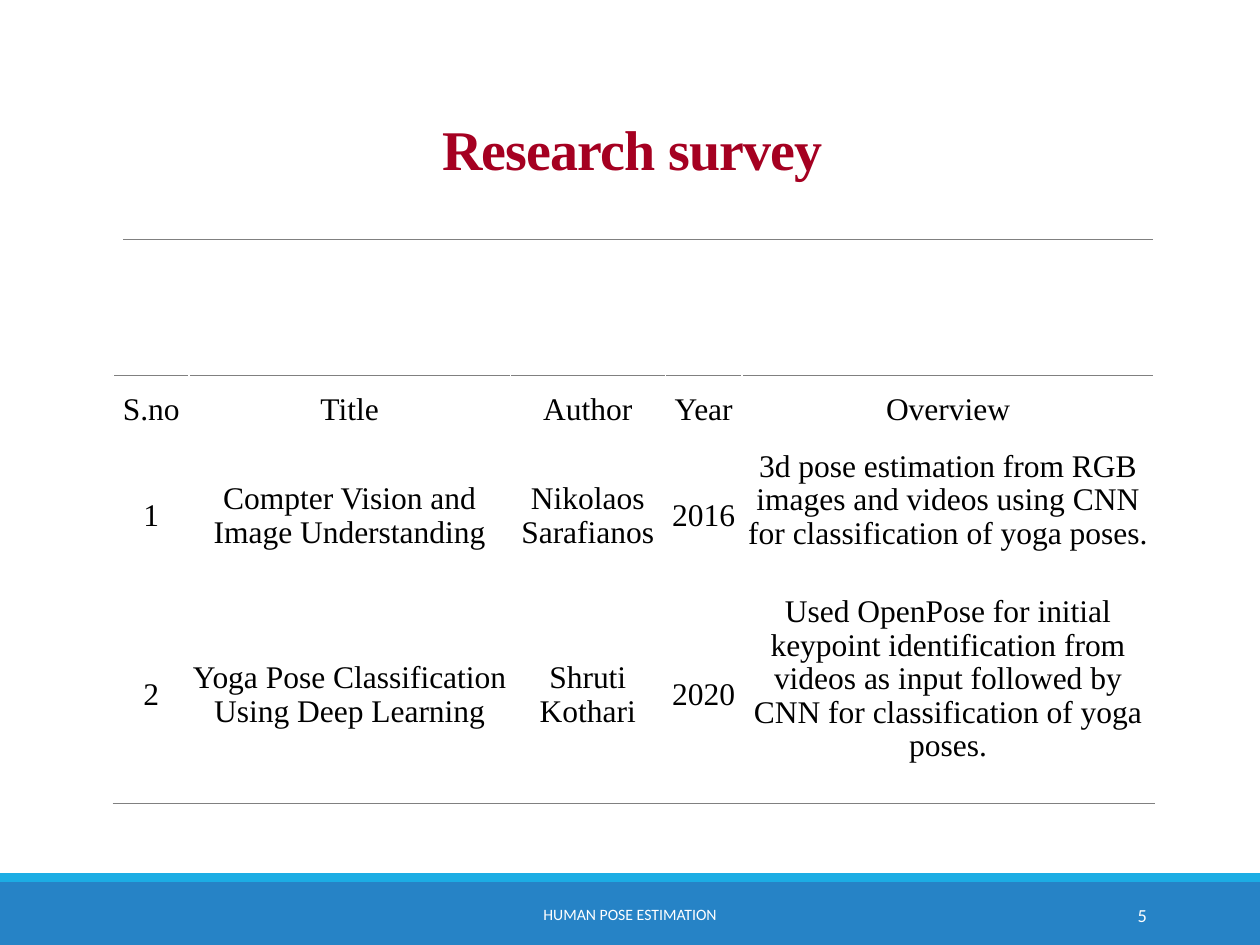
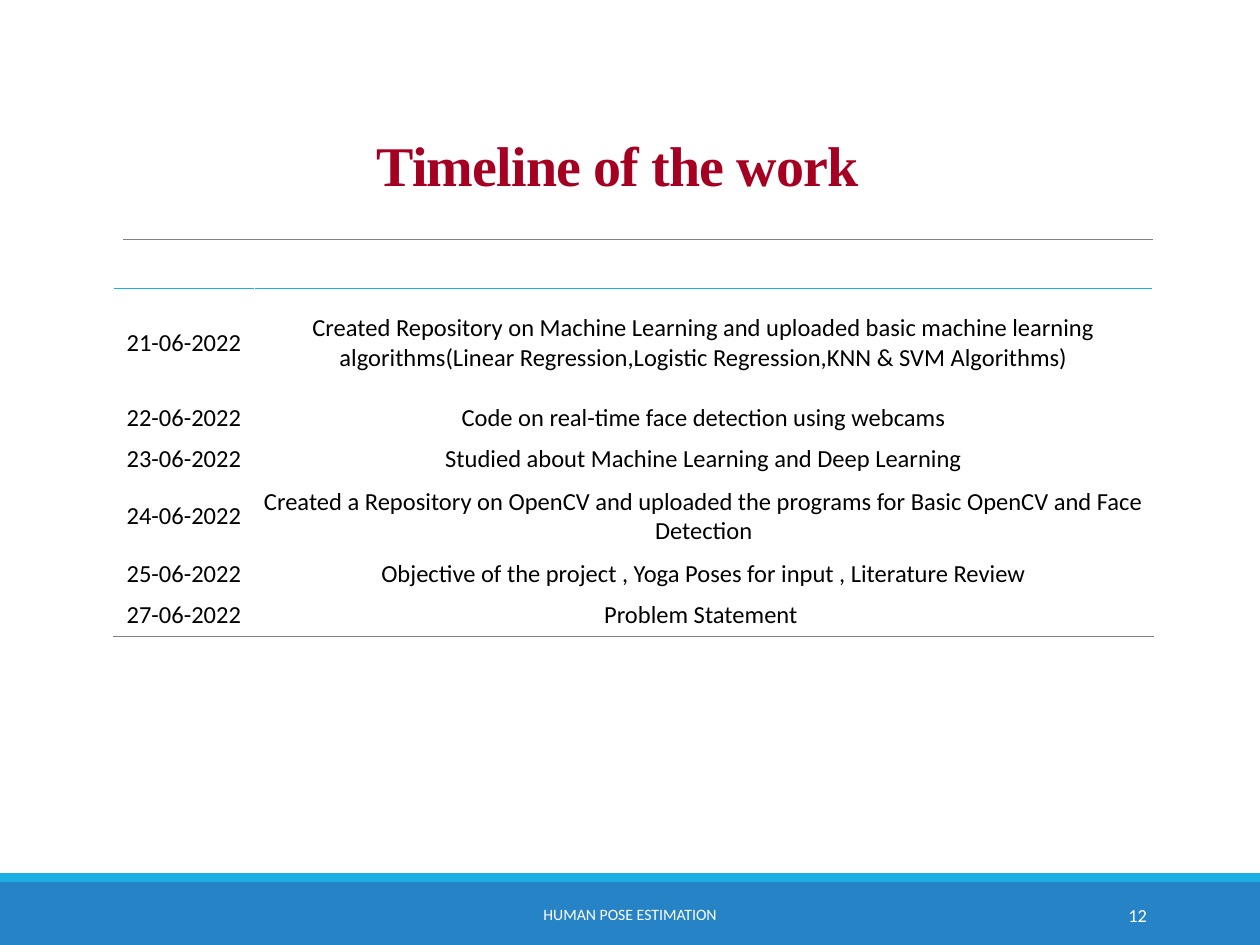
from dataclasses import dataclass

import pptx
import pptx.dml.color
import pptx.enum.shapes
import pptx.enum.text
import pptx.oxml
import pptx.oxml.ns
import pptx.util
from pptx.util import Inches

ALIGN = pptx.enum.text.PP_ALIGN
MIDDLE = pptx.enum.text.MSO_ANCHOR.MIDDLE


@dataclass(frozen=True)
class Theme:
    band: str = "2683C6"
    accent: str = "1CADE4"
    rule: str = "808080"
    title: str = "A50021"
    body: str = "000000"
    white: str = "FFFFFF"
    serif: str = "Times New Roman"
    sans: str = "Calibri"
    title_size: float = 32
    survey_size: float = 18
    timeline_size: float = 14
    number_size: float = 10.5
    footer_size: float = 9
    rule_width: float = 0.5
    accent_width: float = 1


THEME = Theme()
THIN_RULE = (THEME.rule, THEME.rule_width)
ACCENT_RULE = (THEME.accent, THEME.accent_width)


def rgb(color):
    return pptx.dml.color.RGBColor.from_string(color)


def add_run(paragraph, text, font, size, color, align):
    paragraph.alignment = align
    run = paragraph.add_run()
    run.text = text
    run.font.name = font
    run.font.size = pptx.util.Pt(size)
    run.font.color.rgb = rgb(color)
    return run


def add_band(slide, box, color):
    band = slide.shapes.add_shape(
        pptx.enum.shapes.MSO_SHAPE.RECTANGLE, *map(Inches, box))
    band.shadow.inherit = False
    band.fill.solid()
    band.fill.fore_color.rgb = rgb(color)
    band.line.fill.background()


def add_footer_text(slide, box, text, size, align):
    frame = slide.shapes.add_textbox(*map(Inches, box)).text_frame
    frame.word_wrap = True
    frame.vertical_anchor = MIDDLE
    add_run(frame.paragraphs[0], text, THEME.sans, size, THEME.white, align)


def add_footer(slide, box, number):
    """Blue band with an accent strip on top, the project name and the page."""
    left, top, width, height = box
    strip = 0.07
    add_band(slide, (left, top + strip, width, height - strip), THEME.band)
    add_band(slide, (left, top, width, strip), THEME.accent)
    text_top = top + 0.13
    add_footer_text(slide, (left + 3.02, text_top, 3.96, 0.4),
                    "HUMAN POSE ESTIMATION", THEME.footer_size, ALIGN.CENTER)
    add_footer_text(slide, (left + 8.12, text_top, 1.08, 0.4),
                    str(number), THEME.number_size, ALIGN.RIGHT)


def add_title_rule(slide, left, right, top):
    rule = slide.shapes.add_connector(
        pptx.enum.shapes.MSO_CONNECTOR.STRAIGHT,
        Inches(left), Inches(top), Inches(right), Inches(top))
    rule.line.color.rgb = rgb(THEME.rule)
    rule.line.width = pptx.util.Pt(THEME.rule_width)
    properties = rule._element.spPr
    properties.append(pptx.oxml.parse_xml(
        f'<a:effectLst {pptx.oxml.ns.nsdecls("a")}/>'))


def set_title(slide, box, text):
    title = slide.shapes.title
    title.left, title.top, title.width, title.height = map(Inches, box)
    frame = title.text_frame
    frame.auto_size = pptx.enum.text.MSO_AUTO_SIZE.NONE
    frame.word_wrap = True
    frame.vertical_anchor = pptx.enum.text.MSO_ANCHOR.BOTTOM
    frame.margin_bottom = Inches(0.04)
    paragraph = frame.paragraphs[0]
    paragraph.line_spacing = 1.07
    run = add_run(paragraph, text, THEME.serif, THEME.title_size,
                  THEME.title, ALIGN.CENTER)
    run.font.bold = True
    run._r.get_or_add_rPr().set("spc", "-50")


def add_base_slide(deck, title, title_box, number):
    slide = deck.slides.add_slide(deck.slide_layouts[5])
    add_footer(slide, (0, 6.93, 10, 0.57), number)
    add_title_rule(slide, 0.98, 9.15, 1.9)
    set_title(slide, title_box, title)
    return slide


def set_border(cell, side, rule):
    color, width = rule
    cell._tc.get_or_add_tcPr().insert(0, pptx.oxml.parse_xml(
        f'<a:{side} {pptx.oxml.ns.nsdecls("a")} w="{pptx.util.Pt(width)}">'
        f'<a:solidFill><a:srgbClr val="{color}"/></a:solidFill></a:{side}>'))


def add_ruled_table(slide, corner, widths, heights, rows, font, size,
                    margin, spacing, top_rule):
    """Plain centred table with a rule above the first row and below the last."""
    table = slide.shapes.add_table(
        len(rows), len(widths), *map(Inches, corner),
        Inches(sum(widths)), Inches(sum(heights))).table
    table.first_row = table.horz_banding = False
    for column, width in zip(table.columns, widths):
        column.width = Inches(width)
    for index, (texts, height) in enumerate(zip(rows, heights)):
        table.rows[index].height = Inches(height)
        for cell, text in zip(table.rows[index].cells, texts):
            cell.fill.background()
            cell.vertical_anchor = MIDDLE
            cell.margin_left = cell.margin_right = Inches(margin)
            cell.margin_top = cell.margin_bottom = Inches(margin)
            paragraph = cell.text_frame.paragraphs[0]
            paragraph.line_spacing = spacing
            add_run(paragraph, text, font, size, THEME.body, ALIGN.CENTER)
            if index == 0:
                set_border(cell, "lnT", top_rule)
            if index == len(rows) - 1:
                set_border(cell, "lnB", THIN_RULE)
    return table


def add_survey_slide(deck):
    slide = add_base_slide(deck, "Research survey ", (0.94, 0.25, 8.26, 1.23), 5)
    papers = [
        ("S.no", "Title", "Author", "Year", "Overview"),
        ("1", "Compter Vision and Image Understanding", "Nikolaos Sarafianos",
         "2016", "3d pose estimation from RGB images and videos using CNN "
         "for classification of yoga poses."),
        ("2", "Yoga Pose Classification Using Deep Learning", "Shruti Kothari",
         "2020", "Used OpenPose for initial keypoint identification from videos "
         "as input followed by CNN for classification of yoga poses."),
    ]
    table = add_ruled_table(
        slide, (0.9, 2.98), (0.6, 2.55, 1.23, 0.61, 3.27), (0.55, 1.12, 1.66),
        papers, THEME.serif, THEME.survey_size, 0.01, 0.96, THIN_RULE)
    for row in (1, 2):
        table.cell(row, 4).margin_bottom = Inches(0.26)


def add_timeline_slide(deck):
    slide = add_base_slide(deck, "Timeline of the work ",
                           (0.72, 0.19, 8.47, 1.42), 12)
    work = [
        ("21-06-2022", "Created Repository on Machine Learning and uploaded basic "
         "machine learning algorithms(Linear Regression,Logistic Regression,"
         "KNN & SVM Algorithms)"),
        ("22-06-2022", "Code on real-time face detection using webcams"),
        ("23-06-2022", "Studied about Machine Learning and Deep Learning"),
        ("24-06-2022", "Created a Repository on OpenCV and uploaded the programs "
         "for Basic OpenCV and Face Detection"),
        ("25-06-2022", "Objective of the project , Yoga Poses for input , "
         "Literature Review"),
        ("27-06-2022", "Problem Statement "),
    ]
    add_ruled_table(
        slide, (0.9, 2.29), (1.12, 7.13), (0.86, 0.33, 0.33, 0.58, 0.33, 0.33),
        work, THEME.sans, THEME.timeline_size, 0.02, 1.0, ACCENT_RULE)


def main():
    deck = pptx.Presentation()
    deck.slide_width, deck.slide_height = Inches(10), Inches(7.5)
    add_survey_slide(deck)
    add_timeline_slide(deck)
    deck.save("out.pptx")


if __name__ == "__main__":
    main()
